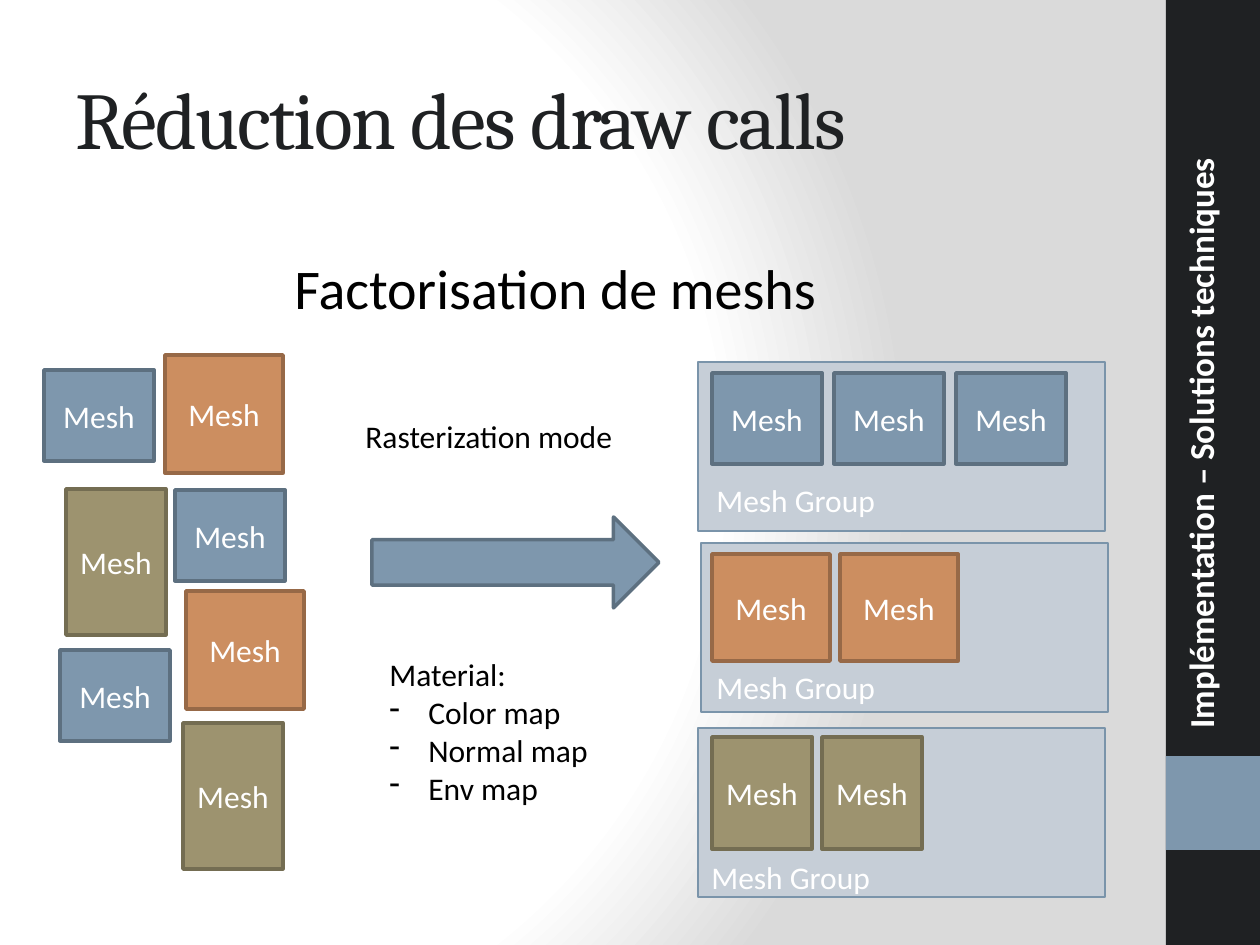
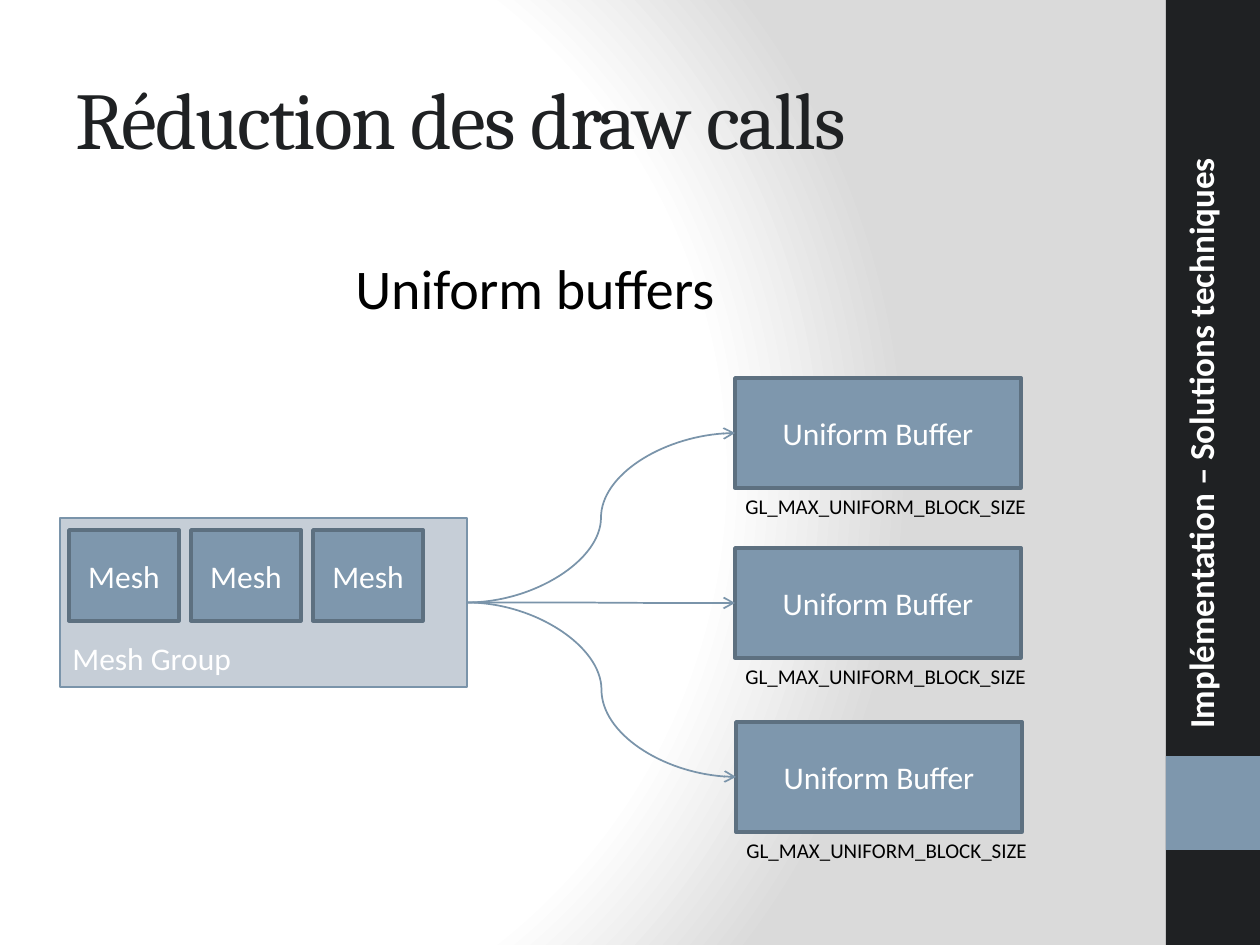
"""Builds two slides on reducing draw calls: mesh factorisation and uniform buffers."""
from dataclasses import dataclass

from lxml.etree import SubElement
from pptx import Presentation
from pptx.dml.color import RGBColor
from pptx.enum.shapes import MSO_CONNECTOR, MSO_SHAPE
from pptx.enum.text import MSO_ANCHOR, MSO_AUTO_SIZE, PP_ALIGN
from pptx.oxml.ns import qn
from pptx.util import Pt

EMU_PER_PX = 914400 / 126


@dataclass(frozen=True)
class Theme:
    ink: str = "1F2123"
    white: str = "FFFFFF"
    black: str = "000000"
    grey: str = "DADADA"
    panel: str = "C6CED7"
    edge: str = "7A94AA"
    blue: tuple = ("7E97AD", "5D7080")
    orange: tuple = ("CC8E60", "976947")
    olive: tuple = ("9D936F", "746D52")
    heading: str = "Cambria"
    body: str = "Calibri"
    title_size: int = 46
    subtitle_size: int = 32
    side_size: int = 20
    body_size: int = 18
    caption_size: int = 12


theme = Theme()
TITLE = {"name": theme.heading, "size": Pt(theme.title_size)}
SUBTITLE = {"name": theme.body, "size": Pt(theme.subtitle_size)}
SIDE = {"name": theme.body, "size": Pt(theme.side_size), "bold": True}
BODY = {"name": theme.body, "size": Pt(theme.body_size)}
CAPTION = {"name": theme.body, "size": Pt(theme.caption_size)}
FREE = {"word_wrap": False, "auto_size": MSO_AUTO_SIZE.SHAPE_TO_FIT_TEXT}
WRAPPED = {"word_wrap": True, "auto_size": MSO_AUTO_SIZE.NONE}
MIDDLE = {**WRAPPED, "vertical_anchor": MSO_ANCHOR.MIDDLE}
CENTRED = {"alignment": PP_ALIGN.CENTER}


def add_text(shapes, box, lines, font, color=theme.black, frame=FREE, layout=None, shape=None):
    """Write lines into the given shape, or into a new text box."""
    shape = shape or shapes.add_textbox(*[round(value * EMU_PER_PX) for value in box])
    text_frame = shape.text_frame
    for key, value in frame.items():
        setattr(text_frame, key, value)
    text_frame.text = "\n".join(lines)
    for paragraph in text_frame.paragraphs:
        for key, value in (layout or {}).items():
            setattr(paragraph, key, value)
        for run in paragraph.runs:
            for key, value in font.items():
                setattr(run.font, key, value)
            run.font.color.rgb = RGBColor.from_string(color)
    return shape


def add_block(shapes, box, fill, line=None, weight=2, text=None, kind=MSO_SHAPE.RECTANGLE):
    """Add a filled shape with an optional outline and centred label."""
    shape = shapes.add_shape(kind, *[round(value * EMU_PER_PX) for value in box])
    shape.shadow.inherit = False
    shape.fill.solid()
    shape.fill.fore_color.rgb = RGBColor.from_string(fill)
    if line:
        shape.line.color.rgb = RGBColor.from_string(line)
        shape.line.width = Pt(weight)
    else:
        shape.line.fill.background()
    if text:
        add_text(shapes, box, [text], BODY, theme.white, MIDDLE, CENTRED, shape)
    return shape


presentation = Presentation()
presentation.slide_width = round(1260 * EMU_PER_PX)
presentation.slide_height = round(945 * EMU_PER_PX)

master = presentation.slide_master
master.background.fill.gradient()
gradient = master.element.cSld.find(".//" + qn("a:gradFill"))
for child in list(gradient):
    gradient.remove(child)
stops = SubElement(gradient, qn("a:gsLst"))
for position, color in ((0, theme.white), (75, theme.white), (100, theme.grey)):
    stop = SubElement(stops, qn("a:gs"), pos=str(position * 1000))
    SubElement(stop, qn("a:srgbClr"), val=color)
circle = SubElement(gradient, qn("a:path"), path="circle")
SubElement(circle, qn("a:fillToRect"), l="20000", t="50000", r="100000", b="50000")

slides = []
for subtitle, subtitle_box in (
    ("Factorisation de meshs", (282, 214, 553, 115)),
    ("Uniform buffers", (343, 214, 389, 105)),
):
    slide = presentation.slides.add_slide(presentation.slide_layouts[6])
    add_block(slide.shapes, (1166, 0, 94, 945), theme.ink)
    add_block(slide.shapes, (1166, 756, 94, 94), theme.blue[0])
    title = add_text(slide.shapes, (63, 38, 1050, 158), ["Réduction des draw calls"],
                     TITLE, theme.ink, MIDDLE)
    title.text_frame.paragraphs[0].runs[0].font._element.set("spc", "-100")
    side = add_text(slide.shapes, (1173, 0, 68, 741), ["Implémentation – Solutions techniques"],
                    SIDE, theme.white, WRAPPED)
    side.text_frame._txBody.bodyPr.set("vert", "vert270")
    add_text(slide.shapes, subtitle_box, [subtitle], SUBTITLE, layout={"line_spacing": 1.5})
    slides.append(slide)
factoring, buffers = slides

for left, top, width, height, colors in (
    (44, 370, 110, 91, theme.blue),
    (165, 355, 118, 118, theme.orange),
    (66, 489, 100, 146, theme.olive),
    (175, 490, 110, 91, theme.blue),
    (186, 591, 118, 118, theme.orange),
    (60, 650, 110, 91, theme.blue),
    (183, 723, 100, 146, theme.olive),
):
    add_block(factoring.shapes, (left, top, width, height), *colors, text="Mesh")

add_block(factoring.shapes, (372, 517, 287, 91), *theme.blue, kind=MSO_SHAPE.RIGHT_ARROW)
add_text(factoring.shapes, (353, 411, 275, 50), ["Rasterization mode"], BODY)
material = add_text(factoring.shapes, (377, 649, 227, 165),
                    ["Material:", "Color map", "Normal map", "Env map"], BODY)
indent = round(39 * EMU_PER_PX)
for paragraph in material.text_frame.paragraphs[1:]:
    properties = paragraph._p.get_or_add_pPr()
    properties.set("marL", str(indent))
    properties.set("indent", str(-indent))
    SubElement(properties, qn("a:buChar"), char="-")

mesh_groups = []
for slide, panel_at, mesh_at, mesh_size, pitch, count, label_at, colors in (
    (factoring, (698, 362), (712, 373), (110, 91), 122, 3, (704, 475), theme.blue),
    (factoring, (701, 543), (712, 554), (118, 107), 128, 2, (704, 662), theme.orange),
    (factoring, (698, 728), (712, 737), (100, 112), 110, 2, (699, 852), theme.olive),
    (buffers, (60, 518), (69, 530), (110, 91), 122, 3, (60, 633), theme.blue),
):
    shapes = slide.shapes.add_group_shape().shapes
    panel = add_block(shapes, (*panel_at, 407, 169), theme.panel, theme.edge, 1)
    for index in range(count):
        add_block(shapes, (mesh_at[0] + index * pitch, mesh_at[1], *mesh_size), *colors, text="Mesh")
    add_text(shapes, (*label_at, 186, 50), ["Mesh Group"], BODY, theme.white)
    mesh_groups.append(panel)

for left, top in ((735, 378), (735, 548), (736, 722)):
    shapes = buffers.shapes.add_group_shape().shapes
    uniform_buffer = add_block(shapes, (left, top, 286, 110), *theme.blue, text="Uniform Buffer")
    add_text(shapes, (left - 2, top + 109, 309, 38), ["GL_MAX_UNIFORM_BLOCK_SIZE"], CAPTION)
    connector = buffers.shapes.add_connector(MSO_CONNECTOR.CURVE, 0, 0, 0, 0)
    connector.begin_connect(mesh_groups[-1], 3)
    connector.end_connect(uniform_buffer, 1)
    connector.line.color.rgb = RGBColor.from_string(theme.edge)
    connector.line.width = Pt(1)
    SubElement(connector.line._get_or_add_ln(), qn("a:tailEnd"), type="arrow")
    SubElement(connector._element.spPr, qn("a:effectLst"))

presentation.save("out.pptx")
